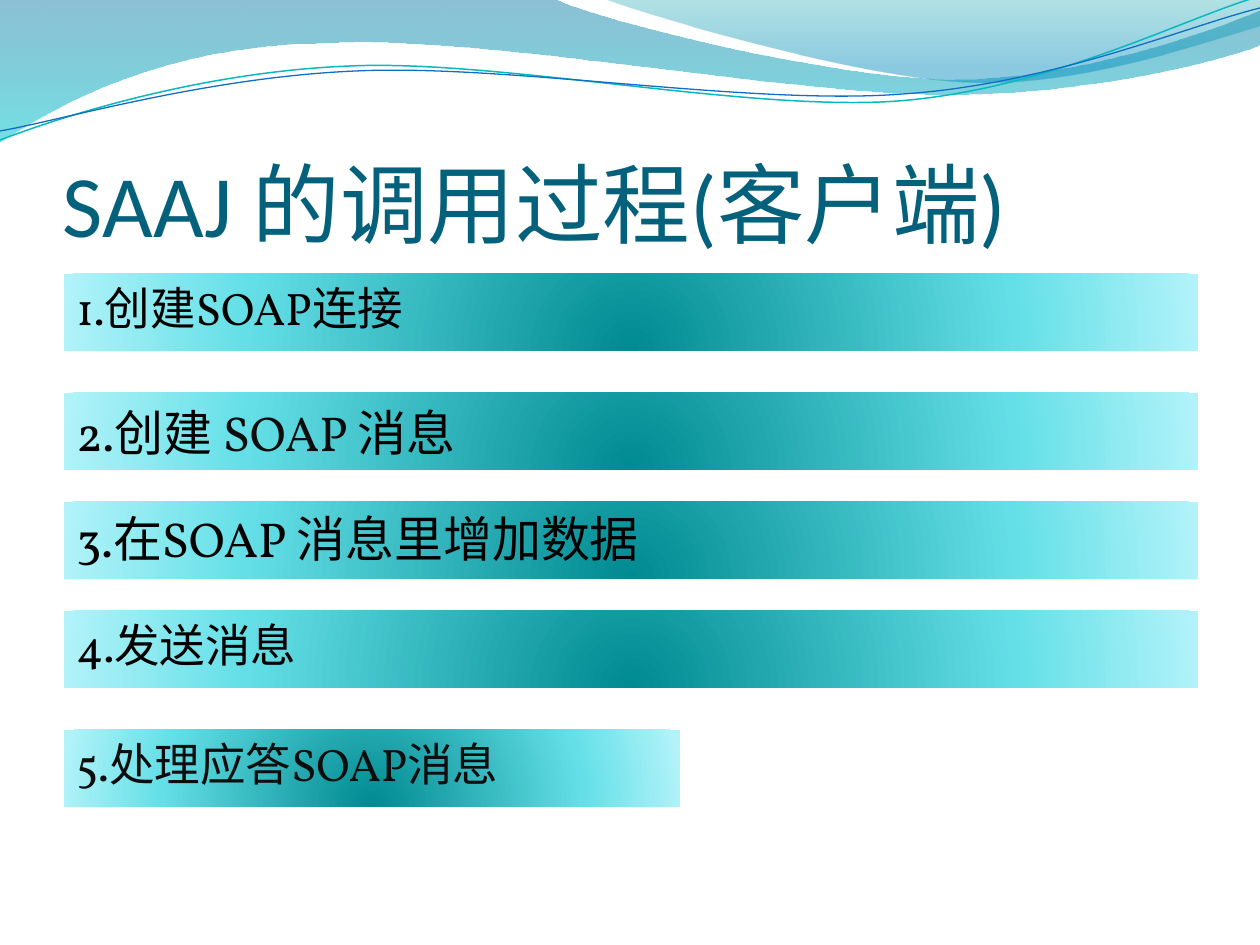
from lxml.etree import SubElement
from pptx import Presentation
from pptx.dml.color import RGBColor
from pptx.enum.shapes import MSO_SHAPE
from pptx.enum.text import MSO_ANCHOR, PP_ALIGN
from pptx.oxml.ns import qn
from pptx.util import Emu, Pt

PX = 914400 // 126
COLORS = {
    "title": "04617B", "black": "000000", "soft_black": "0D0D0D",
    "teal_line": "0AB8BF", "blue_line": "0F6FC6",
    "bar_dark": "008A91", "bar_mid": "64DFE7", "bar_light": "B1F3F9",
    "wave_blue": "0074A1", "wave_cyan": "00C6CF",
    "crest_green": "00A1A9", "crest_blue": "008BBF",
}

# A two-number step is a straight line, a six-number step a cubic curve.
WAVES = [
    ([(0, 0), (554, -1), (600, 21, 837, 79, 955, 79), (1075, 79, 1207, 33, 1260, 11),
      (1261, 45), (1239, 55, 1096, 96, 940, 94), (783, 94, 481, 35, 324, 43),
      (163, 45, 58, 105, -1, 142)],
     [(0, "wave_blue", 45), (100, "wave_cyan", 55)]),
    ([(604, -1), (641, 14, 859, 78, 969, 82), (1079, 87, 1211, 40, 1260, 26), (1260, 0)],
     [(0, "crest_green", 30), (80, "crest_blue", 45)]),
]
RIPPLES = [
    ([(0, 140), (60, 117, 199, 72, 349, 66), (498, 59, 747, 112, 898, 101),
      (1050, 89, 1182, 19, 1257, -3)], "teal_line", 0.85),
    ([(0, 131), (59, 121, 207, 77, 357, 71), (508, 64, 752, 106, 903, 94),
      (1053, 84, 1187, 26, 1260, 8)], "blue_line", 0.75),
]
TITLE = "SAAJ 的调用过程(客户端)"
TITLE_BOX = (63, 97, 1134, 158)

BAR_LEFT, BAR_HEIGHT = 64, 77
BAR_STOPS = [(0, "bar_dark", 100), (68, "bar_mid", 100), (100, "bar_light", 100)]
# top, width, text size, anchor, runs
BARS = [
    (274, 1134, 26, MSO_ANCHOR.TOP, [("1.创建SOAP连接", "black")]),
    (393, 1134, 28, MSO_ANCHOR.MIDDLE,
     [("2.创建 ", "black"), ("SOAP ", "soft_black"), ("消息", "black")]),
    (502, 1134, 28, MSO_ANCHOR.TOP, [("3.在SOAP 消息里增加数据", "black")]),
    (611, 1134, 26, MSO_ANCHOR.TOP, [("4.发送消息", "black")]),
    (730, 616, 26, MSO_ANCHOR.TOP, [("5.处理应答SOAP消息", "soft_black")]),
]


def color(name):
    """Return a named colour."""
    return RGBColor.from_string(COLORS[name])


def element(parent, tag, **values):
    """Append a drawing element with the given attributes."""
    return SubElement(parent, qn("a:" + tag), {k: str(v) for k, v in values.items()})


def set_gradient(shape, stops, radial=False):
    """Fill a shape with a downward or a radial gradient."""
    shape.fill.gradient()
    gradient = shape.element.spPr.find(qn("a:gradFill"))
    for child in list(gradient):
        gradient.remove(child)
    stop_list = element(gradient, "gsLst")
    for position, name, opacity in stops:
        stop = element(stop_list, "gs", pos=position * 1000)
        paint = element(stop, "srgbClr", val=COLORS[name])
        if opacity < 100:
            element(paint, "alpha", val=opacity * 1000)
    if radial:
        circle = element(gradient, "path", path="circle")
        element(circle, "fillToRect", l=50000, t=130000, r=50000, b=-30000)
    else:
        element(gradient, "lin", ang=5400000, scaled=0)


def add_outline(slide, steps, close):
    """Draw a freeform of straight lines and cubic curves."""
    ends = [step[-2:] for step in steps]
    left, top = (min(values) for values in zip(*ends))
    builder = slide.shapes.build_freeform(*ends[0], scale=PX)
    builder.add_line_segments(ends[1:], close=close)
    shape = builder.convert_to_shape()
    shape.shadow.inherit = False
    lines = list(shape.element.spPr.iter(qn("a:lnTo")))
    for line, step in zip(lines, steps[1:]):
        if len(step) == 6:
            curve = element(line.getparent(), "cubicBezTo")
            for x, y in zip(step[::2], step[1::2]):
                element(curve, "pt", x=x - left, y=y - top)
            line.getparent().replace(line, curve)
    return shape


def write(shape, runs, size, font, **frame_format):
    """Write one left-aligned paragraph and return it."""
    frame = shape.text_frame
    for key, value in {"word_wrap": True, **frame_format}.items():
        setattr(frame, key, value)
    paragraph = frame.paragraphs[0]
    paragraph.alignment = PP_ALIGN.LEFT
    for text, name in runs:
        run = paragraph.add_run()
        run.text = text
        for key, value in {"size": Pt(size), "name": font}.items():
            setattr(run.font, key, value)
        run.font.color.rgb = color(name)
    return paragraph


def add_bar(slide, top, width, size, anchor, runs):
    """Add one step of the procedure as a gradient bar."""
    box = [Emu(v * PX) for v in (BAR_LEFT, top, width, BAR_HEIGHT)]
    bar = slide.shapes.add_shape(MSO_SHAPE.RECTANGLE, *box)
    set_gradient(bar, BAR_STOPS, radial=True)
    bar.line.fill.background()
    bar.shadow.inherit = False
    paragraph = write(bar, runs, size, "Vollkorn", vertical_anchor=anchor)
    properties = paragraph._p.get_or_add_pPr()
    properties.set("marL", str(71 * PX))
    properties.set("indent", str(-71 * PX))
    element(element(properties, "spcBef"), "spcPct", val=20000)


presentation = Presentation()
presentation.slide_width, presentation.slide_height = Emu(1260 * PX), Emu(945 * PX)
slide = presentation.slides.add_slide(presentation.slide_layouts[6])

for steps, stops in WAVES:
    wave = add_outline(slide, steps, close=True)
    set_gradient(wave, stops)
    wave.line.fill.background()
for steps, name, width in RIPPLES:
    ripple = add_outline(slide, steps, close=False)
    ripple.fill.background()
    ripple.line.color.rgb = color(name)
    ripple.line.width = Pt(width)

title = slide.shapes.add_textbox(*[Emu(v * PX) for v in TITLE_BOX])
write(title, [(TITLE, "title")], 50, "Calibri", vertical_anchor=MSO_ANCHOR.BOTTOM,
      margin_left=0, margin_right=0, margin_bottom=0)
for bar in BARS:
    add_bar(slide, *bar)

presentation.save("out.pptx")
